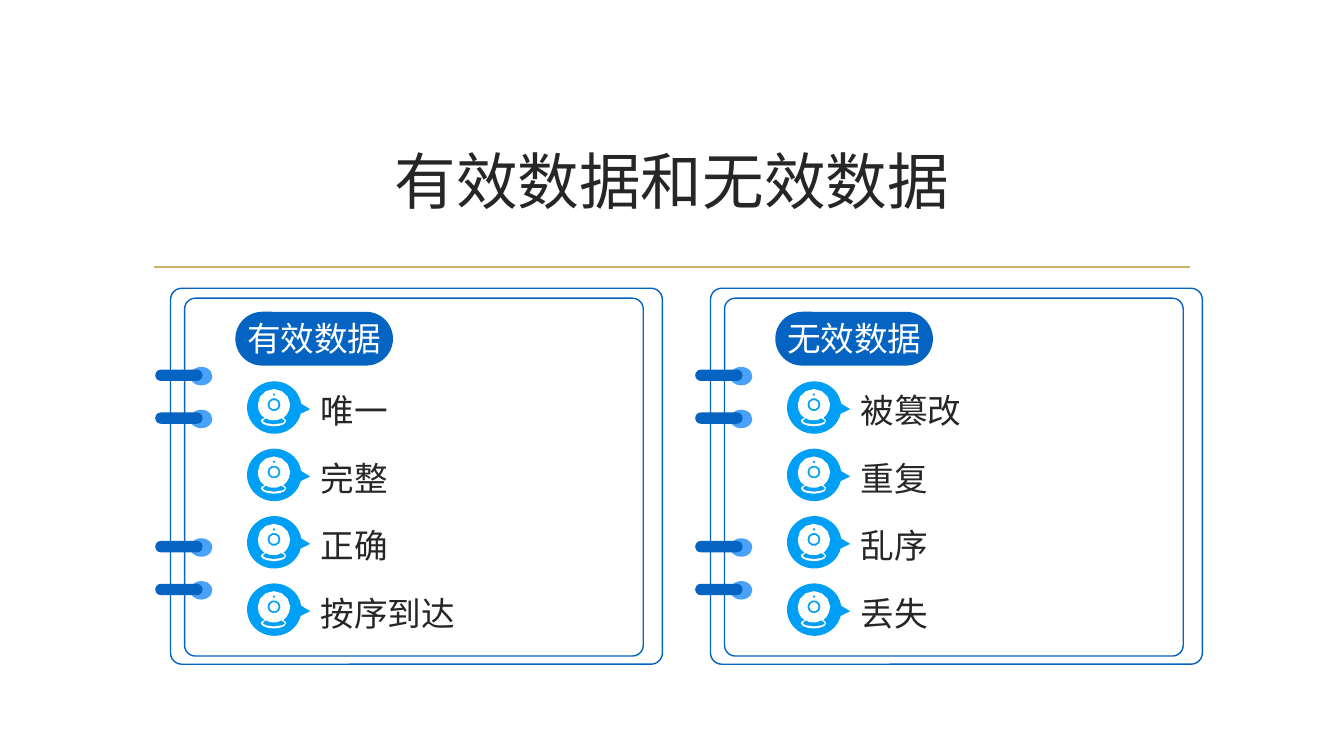
from math import cos, pi, sin

from lxml import etree
from pptx import Presentation
from pptx.dml.color import RGBColor
from pptx.enum.shapes import MSO_CONNECTOR, MSO_SHAPE
from pptx.enum.text import MSO_ANCHOR, MSO_AUTO_SIZE, PP_ALIGN
from pptx.oxml.ns import qn
from pptx.util import Inches, Pt

ROUND_RECT = MSO_SHAPE.ROUNDED_RECTANGLE
OVAL = MSO_SHAPE.OVAL
CALLOUT = MSO_SHAPE.OVAL_CALLOUT
STRAIGHT = MSO_CONNECTOR.STRAIGHT
TOP, MIDDLE = MSO_ANCHOR.TOP, MSO_ANCHOR.MIDDLE
LEFT, CENTER = PP_ALIGN.LEFT, PP_ALIGN.CENTER
GROW = MSO_AUTO_SIZE.SHAPE_TO_FIT_TEXT

WHITE = RGBColor(0xFF, 0xFF, 0xFF)
INK = RGBColor(0x26, 0x26, 0x26)
GOLD = RGBColor(0xCB, 0xAF, 0x62)
BLUE = RGBColor(0x05, 0x63, 0xC1)
LIGHT_BLUE = RGBColor(0x49, 0xA1, 0xFA)
SKY = RGBColor(0x00, 0x9F, 0xF6)

# The grid has square cells, twelve to the inch.
COLS, ROWS = 160, 90
CELL = Inches(1) // 12

PANEL_LEFT, PANEL_STEP = 20.3, 64.28
RING_ROWS = (44, 49.1, 64.4, 69.5)
ITEM_TOP, ITEM_STEP = 45.4, 8.02
PANELS = (
    ("有效数据", ("唯一", "完整", "正确", "按序到达")),
    ("无效数据", ("被篡改", "重复", "乱序", "丢失")),
)

# Webcam outlines in hundredths of an inch: a start, then cubic curves.
BODY = ((16, 0), (
    (24, 0, 32, 7, 32, 15), (32, 21, 29, 26, 25, 29), (27, 29, 28, 31, 28, 32),
    (28, 35, 22, 37, 16, 37), (10, 37, 3, 35, 3, 32), (3, 31, 4, 29, 7, 29),
    (2, 26, 0, 21, 0, 15), (0, 7, 7, 0, 16, 0)))
FOOT = ((23, 29), (
    (21, 31, 18, 31, 16, 31), (13, 31, 10, 31, 8, 29), (6, 30, 5, 31, 5, 32),
    (5, 33, 9, 35, 16, 35), (23, 35, 27, 33, 27, 32), (27, 31, 25, 30, 23, 29)))


def curve_points(start, curves, steps):
    points = [start]
    for x1, y1, x2, y2, x3, y3 in curves:
        x0, y0 = points[-1]
        for i in range(1, steps + 1):
            t = i / steps
            u = 1 - t
            a, b, c, d = u**3, 3 * u * u * t, 3 * u * t * t, t**3
            points.append((a * x0 + b * x1 + c * x2 + d * x3,
                           a * y0 + b * y1 + c * y2 + d * y3))
    return points[:-1]


def circle_points(cx, cy, radius, steps):
    angles = [2 * pi * i / steps for i in range(steps)]
    return [(cx + radius * cos(a), cy + radius * sin(a)) for a in angles]


WEBCAM = (
    curve_points(*BODY, steps=3),
    curve_points(*FOOT, steps=2),
    circle_points(16, 15.5, 6.5, steps=10),
    circle_points(16, 15.5, 4.5, steps=10),
    circle_points(16, 5.5, 1.5, steps=4),
)


def write_text(tf, text, font, size=24, color=INK, align=LEFT, spacing=None):
    p = tf.paragraphs[0]
    p.alignment = align
    p.line_spacing = spacing
    r = p.add_run()
    r.text = text
    r.font.name = font
    r.font.size = Pt(size)
    r.font.color.rgb = color


class GridSlide:
    """A slide whose lengths are given in grid cells."""

    def __init__(self, prs):
        self.slide = prs.slides.add_slide(prs.slide_layouts[6])
        self.shapes = self.slide.shapes

    def cells(self, *lengths):
        return [round(length * CELL) for length in lengths]

    def paint(self, sp, fill, line=None):
        sp.shadow.inherit = False
        sp.fill.solid()
        sp.fill.fore_color.rgb = fill
        if line is None:
            sp.line.fill.background()
        else:
            sp.line.color.rgb = line
            sp.line.width = Pt(1)

    def shape(self, kind, x, y, w, h, fill, line=None, adjust=()):
        sp = self.shapes.add_shape(kind, *self.cells(x, y, w, h))
        for i, value in enumerate(adjust):
            sp.adjustments[i] = value
        self.paint(sp, fill, line)

    def text(self, text, x, y, w, h, anchor=TOP, inset=True, grow=False, **style):
        tf = self.shapes.add_textbox(*self.cells(x, y, w, h)).text_frame
        tf.word_wrap = True
        tf.vertical_anchor = anchor
        if not inset:
            tf.margin_left = tf.margin_right = 0
            tf.margin_top = tf.margin_bottom = 0
        if grow:
            tf.auto_size = GROW
        write_text(tf, text, **style)

    def rule(self, x1, x2, y, color, width):
        line = self.shapes.add_connector(STRAIGHT, *self.cells(x1, y, x2, y))
        line.line.color.rgb = color
        line.line.width = Pt(width)
        etree.SubElement(line._element.spPr, qn("a:effectLst"))

    def webcam(self, x, y):
        fine = 100  # drawing units per hundredth of an inch
        contours = [[(px * fine, py * fine) for px, py in c] for c in WEBCAM]
        builder = self.shapes.build_freeform(*contours[0][0], scale=Inches(0.01) / fine)
        builder.add_line_segments(contours[0][1:])
        for contour in contours[1:]:
            builder.move_to(*contour[0])
            builder.add_line_segments(contour[1:])
        self.paint(builder.convert_to_shape(*self.cells(x, y)), WHITE)

    def item(self, text, x, y):
        self.shape(CALLOUT, x, y, 6.48, 6.24, SKY, adjust=(0.66, 0.03))
        self.webcam(x + 1.28, y + 0.92)
        self.text(text, x + 7.58, y, 21.24, 6.24, grow=True,
                  font="Times New Roman", spacing=1.1)

    def notebook(self, x, heading, items):
        self.shape(ROUND_RECT, x, 34.32, 58.56, 44.76, WHITE, BLUE, (0.03,))
        self.shape(ROUND_RECT, x + 1.68, 35.5, 54.6, 42.6, WHITE, BLUE, (0.03,))
        for y in RING_ROWS:
            self.shape(OVAL, x + 2.34, y - 0.32, 2.64, 2.2, LIGHT_BLUE)
        for y in RING_ROWS:
            self.shape(ROUND_RECT, x - 1.82, y, 5.64, 1.36, BLUE, adjust=(0.5,))
        self.shape(ROUND_RECT, x + 7.8, 37.2, 18.6, 6.24, BLUE, BLUE, (0.5,))
        self.text(heading, x + 9.12, 37.56, 17.52, 5.28, anchor=MIDDLE, inset=False,
                  font="Roboto", color=WHITE)
        for i, item in enumerate(items):
            self.item(item, x + 9.12, ITEM_TOP + i * ITEM_STEP)


def main():
    prs = Presentation()
    prs.slide_width, prs.slide_height = COLS * CELL, ROWS * CELL
    s = GridSlide(prs)
    s.rule(18.36, 141.72, 31.8, GOLD, 1.25)
    s.text("有效数据和无效数据", 17, 12.84, 126, 17.16, anchor=MIDDLE,
           font="Noto Sans CJK SC", size=44, align=CENTER)
    for i, (heading, items) in enumerate(PANELS):
        s.notebook(PANEL_LEFT + i * PANEL_STEP, heading, items)
    prs.save("out.pptx")


if __name__ == "__main__":
    main()
